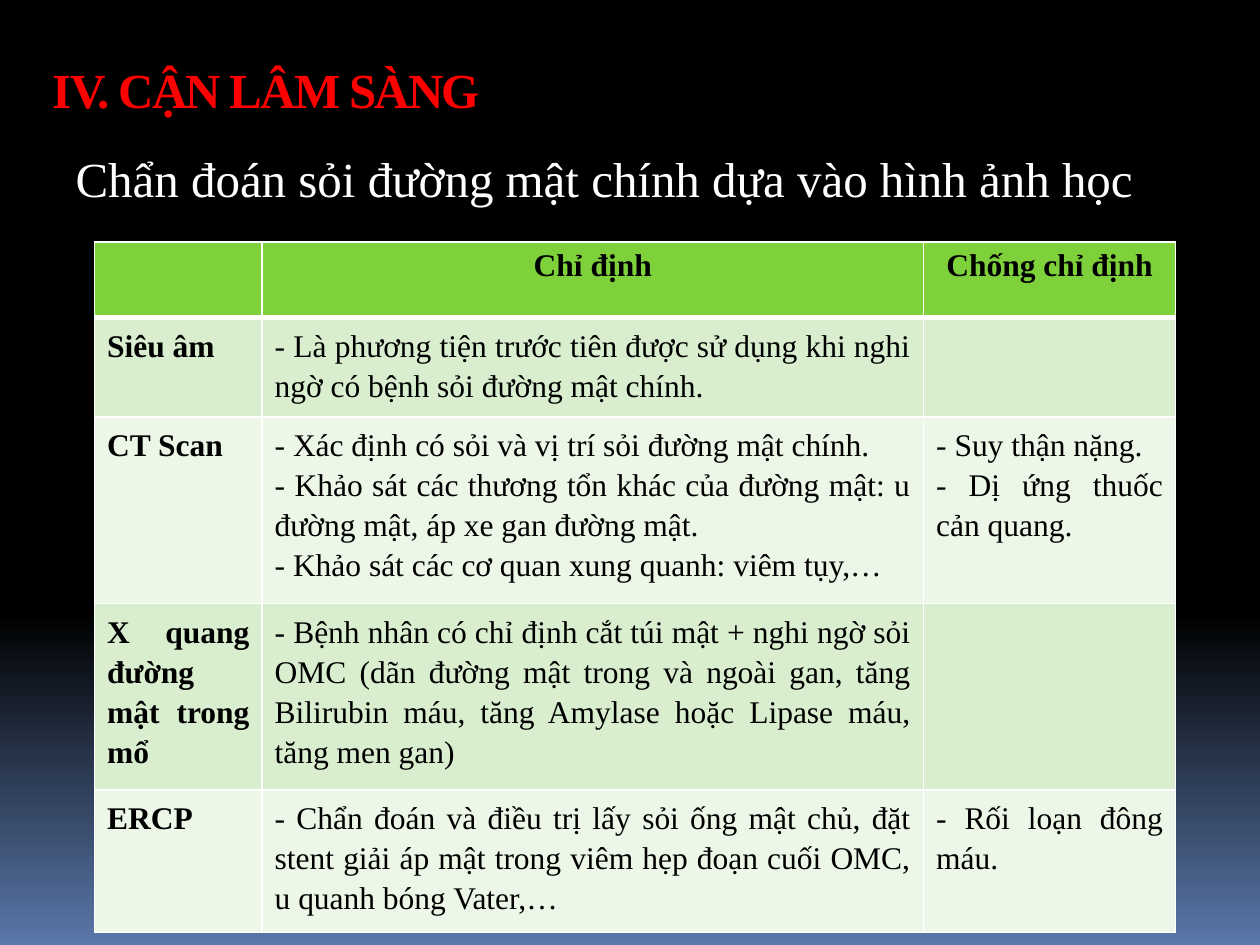
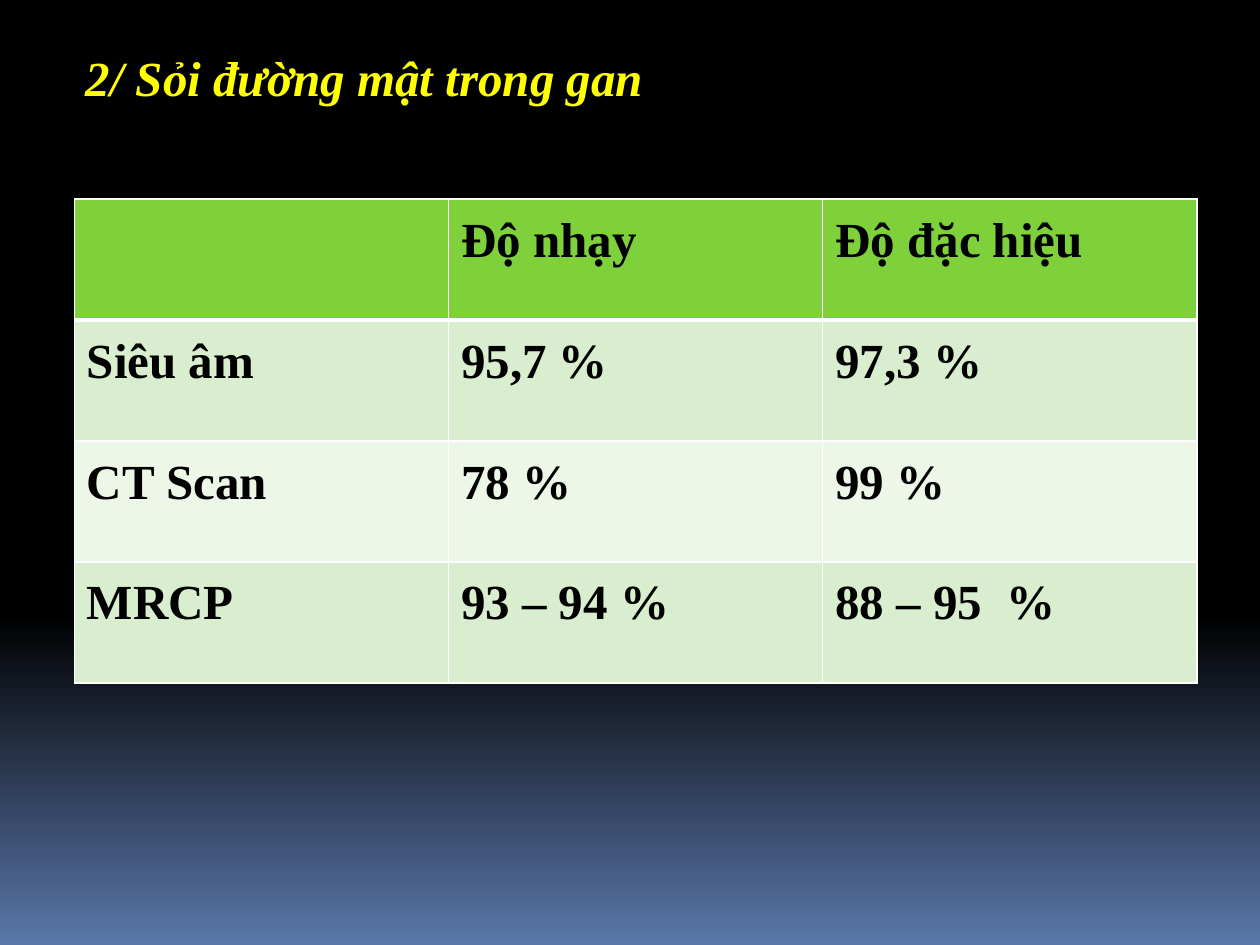
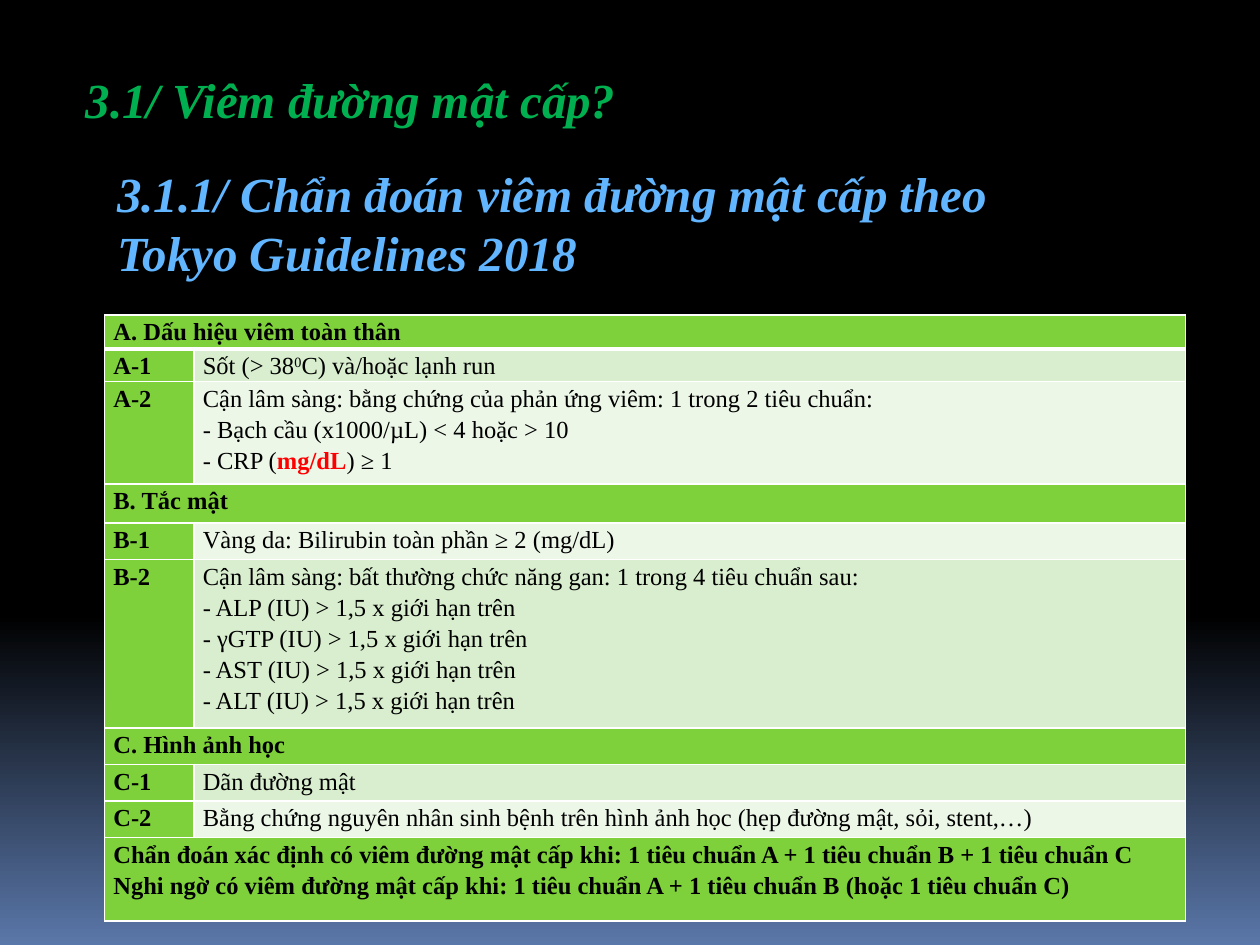
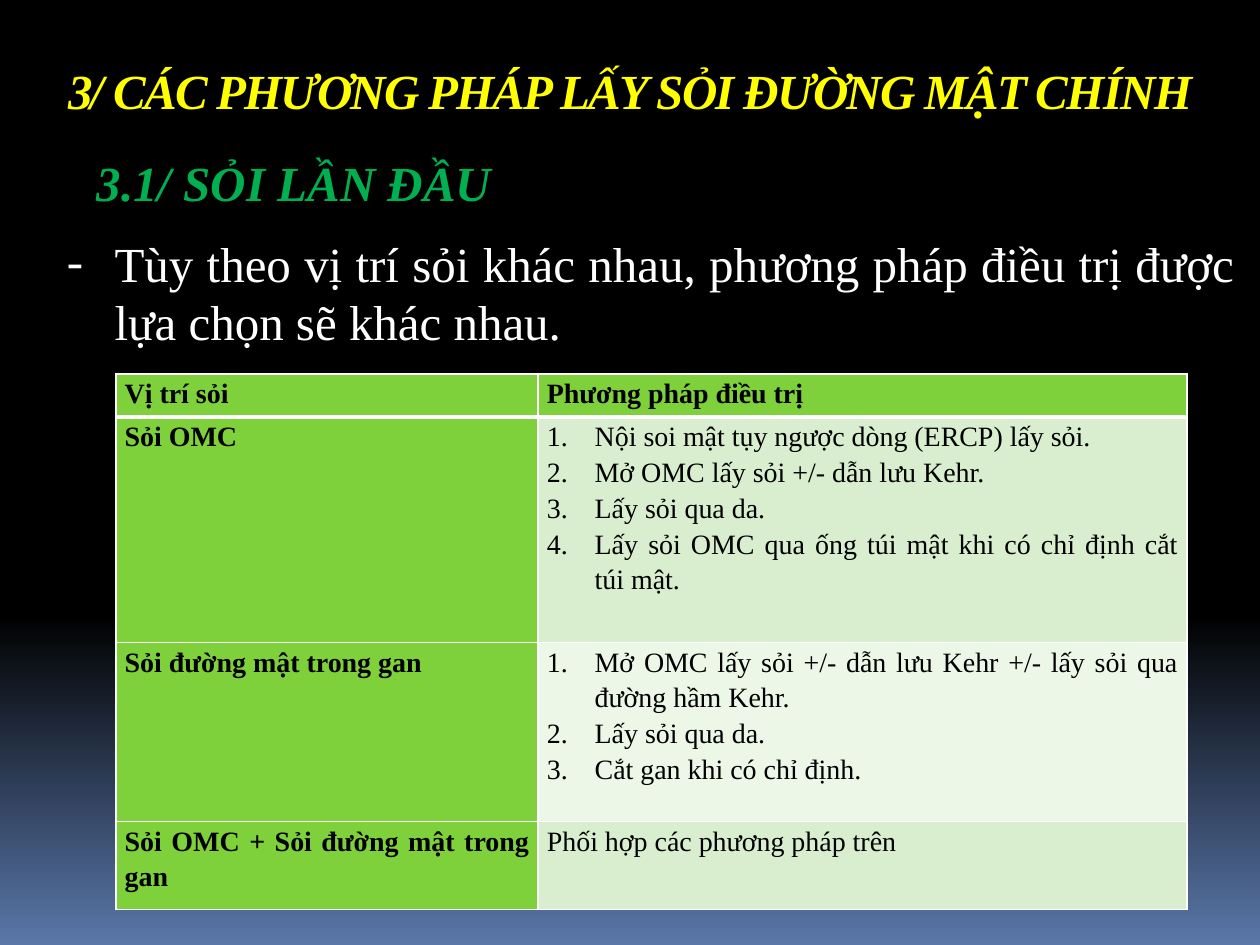
from copy import deepcopy
from lxml.etree import SubElement
from pptx import Presentation
from pptx.dml.color import RGBColor
from pptx.enum.text import MSO_ANCHOR, MSO_AUTO_SIZE, PP_ALIGN
from pptx.oxml.ns import qn
from pptx.util import Inches, Pt

FONT = "Times New Roman"
HUES = {
    "black": "000000", "white": "FFFFFF", "dusk": "5A77A9",
    "red": "FF0000", "yellow": "FFFF00", "green": "00B050", "blue": "61B6FF",
    "head": "7FD13B", "odd": "D8EECE", "even": "ECF7E8",
}
HANG = 0.38
LABEL = dict(bold=True, italic=True)

SLIDES = [
    dict(
        title=("IV. CẬN LÂM SÀNG", (0.32, 0.42, 9.73, 1), dict(hue="red", bold=True, track=-1)),
        body=("Chẩn đoán sỏi đường mật chính dựa vào hình ảnh học", (0.5, 1.13, 8.83, 0.57), {}),
        table=dict(
            at=(0.75, 1.92), size=18, mid=True,
            cols=(1.33, 5.25, 2), rows=(0.6, 0.79, 1.48, 1.48, 1.13),
            cells=[
                ("", "Chỉ định", "Chống chỉ định"),
                ("Siêu âm", "- Là phương tiện trước tiên được sử dụng khi nghi ngờ có bệnh sỏi đường mật chính.", ""),
                ("CT Scan",
                 ["- Xác định có sỏi và vị trí sỏi đường mật chính.",
                  "- Khảo sát các thương tổn khác của đường mật: u đường mật, áp xe gan đường mật.",
                  "- Khảo sát các cơ quan xung quanh: viêm tụy,…"],
                 ["- Suy thận nặng.", "- Dị ứng thuốc cản quang."]),
                ("X quang đường mật trong mổ",
                 "- Bệnh nhân có chỉ định cắt túi mật + nghi ngờ sỏi OMC (dãn đường mật trong và ngoài gan, "
                 "tăng Bilirubin máu, tăng Amylase hoặc Lipase máu, tăng men gan)", ""),
                ("ERCP",
                 "- Chẩn đoán và điều trị lấy sỏi ống mật chủ, đặt stent giải áp mật trong viêm hẹp đoạn cuối OMC, "
                 "u quanh bóng Vater,…", "- Rối loạn đông máu."),
            ]),
    ),
    dict(
        title=("2/ Sỏi đường mật trong gan", (0.58, 0.33, 7.25, 0.57), dict(hue="yellow", **LABEL)),
        table=dict(
            at=(0.59, 1.58), size=28, strong=True, cols=(2.97,) * 3, rows=(0.96,) * 4,
            cells=[
                ("", "Độ nhạy", "Độ đặc hiệu"),
                ("Siêu âm", "95,7 %", "97,3 %"),
                ("CT Scan", "78 %", "99 %"),
                ("MRCP", "93 – 94 %", "88 – 95  %"),
            ]),
    ),
    dict(
        title=("3.1/ Viêm đường mật cấp?", (0.58, 0.5, 8.08, 1.04), dict(hue="green", **LABEL)),
        body=("3.1.1/ Chẩn đoán viêm đường mật cấp theo Tokyo Guidelines 2018",
              (0.83, 1.25, 7.83, 1.04), dict(hue="blue", **LABEL)),
        table=dict(
            at=(0.83, 2.5), size=14, tight=True, cols=(0.71, 7.87),
            rows=(0.27, 0.26, 0.81, 0.31, 0.29, 1.34, 0.29, 0.29, 0.29, 0.66),
            cells=[
                ("A. Dấu hiệu viêm toàn thân",),
                ("A-1", [("Sốt (> 38", ("0", dict(lift=30)), "C) và/hoặc lạnh run")]),
                ("A-2",
                 ["Cận lâm sàng: bằng chứng của phản ứng viêm: 1 trong 2 tiêu chuẩn:",
                  "- Bạch cầu (x1000/µL) < 4 hoặc > 10",
                  ("- CRP (", ("mg/dL", dict(hue="red", bold=True)), ") ≥ 1")]),
                ("B. Tắc mật",),
                ("B-1", "Vàng da: Bilirubin toàn phần ≥ 2 (mg/dL)"),
                ("B-2",
                 ["Cận lâm sàng: bất thường chức năng gan: 1 trong 4 tiêu chuẩn sau:"]
                 + [f"- {test} (IU) > 1,5 x giới hạn trên" for test in ("ALP", "γGTP", "AST", "ALT")]),
                ("C. Hình ảnh học",),
                ("C-1", "Dãn đường mật"),
                ("C-2", "Bằng chứng nguyên nhân sinh bệnh trên hình ảnh học (hẹp đường mật, sỏi, stent,…)"),
                (["Chẩn đoán xác định có viêm đường mật cấp khi: 1 tiêu chuẩn A + 1 tiêu chuẩn B + 1 tiêu chuẩn C",
                  "Nghi ngờ có viêm đường mật cấp khi: 1 tiêu chuẩn A + 1 tiêu chuẩn B (hoặc 1 tiêu chuẩn C)"],),
            ]),
    ),
    dict(
        title=("3/ CÁC PHƯƠNG PHÁP LẤY SỎI ĐƯỜNG MẬT CHÍNH", (0.44, 0.43, 9.47, 1),
               dict(hue="yellow", track=-1, **LABEL)),
        body=("Tùy theo vị trí sỏi khác nhau, phương pháp điều trị được lựa chọn sẽ khác nhau.",
              (0.43, 1.8, 9.47, 1.04), dict(align=PP_ALIGN.JUSTIFY, mark="-")),
        label=("3.1/ SỎI LẦN ĐẦU", (0.67, 1.16, 4.25, 0.57), dict(hue="green", **LABEL)),
        table=dict(
            at=(0.92, 2.97), size=16, tight=True, cols=(3.35, 5.15), rows=(0.34, 1.79, 1.42, 0.7),
            cells=[
                ("Vị trí sỏi", "Phương pháp điều trị"),
                ("Sỏi OMC",
                 ["Nội soi mật tụy ngược dòng (ERCP) lấy sỏi.",
                  "Mở OMC lấy sỏi +/- dẫn lưu Kehr.",
                  "Lấy sỏi qua da.",
                  "Lấy sỏi OMC qua ống túi mật khi có chỉ định cắt túi mật."], "1."),
                ("Sỏi đường mật trong gan",
                 ["Mở OMC lấy sỏi +/- dẫn lưu Kehr +/- lấy sỏi qua đường hầm Kehr.",
                  "Lấy sỏi qua da.",
                  "Cắt gan khi có chỉ định."], "1."),
                ("Sỏi OMC + Sỏi đường mật trong gan", "Phối hợp các phương pháp trên"),
            ]),
    ),
]


def tint(name):
    return RGBColor.from_string(HUES[name])


def write(frame, text, size=28, hue="white", bold=False, italic=False,
          align=PP_ALIGN.LEFT, space=None, track=0, mark=None):
    for n, line in enumerate(text if isinstance(text, list) else [text]):
        para = frame.paragraphs[0] if n == 0 else frame.add_paragraph()
        para.alignment, para.line_spacing, para.space_before = align, space, Pt(0)
        props = para._p.get_or_add_pPr()
        hang = Inches(HANG) if mark else 0
        props.set("marL", str(hang))
        props.set("indent", str(-hang))
        if mark == "1.":
            SubElement(props, qn("a:buFont"), typeface="+mj-lt")
            SubElement(props, qn("a:buAutoNum"), type="arabicPeriod")
        elif mark:
            SubElement(props, qn("a:buFont"), typeface=FONT)
            SubElement(props, qn("a:buChar"), char=mark)
        else:
            SubElement(props, qn("a:buNone"))
        for part in line if isinstance(line, tuple) else (line,):
            words, extra = part if isinstance(part, tuple) else (part, {})
            run = para.add_run()
            run.text = words
            font = run.font
            font.name, font.size, font.italic = FONT, Pt(size), italic
            font.bold = extra.get("bold", bold)
            font.color.rgb = tint(extra.get("hue", hue))
            if track:
                run._r.get_or_add_rPr().set("spc", str(track * 100))
            if "lift" in extra:
                run._r.get_or_add_rPr().set("baseline", str(extra["lift"] * 1000))


def place(shape, text, box, style):
    shape.left, shape.top, shape.width, shape.height = map(Inches, box)
    frame = shape.text_frame
    frame.word_wrap = True
    frame.auto_size = MSO_AUTO_SIZE.NONE
    frame.vertical_anchor = MSO_ANCHOR.TOP
    write(frame, text, **style)


def edge(cell, row):
    props = cell._tc.get_or_add_tcPr()
    for side in "LRTB":
        thick = (row, side) in ((0, "B"), (1, "T"))
        line = SubElement(props, qn(f"a:ln{side}"), w=str(Pt(3 if thick else 1)))
        fill = SubElement(line, qn("a:solidFill"))
        SubElement(fill, qn("a:srgbClr"), val=HUES["white"])


def grid(slide, at, size, cols, rows, cells, tight=False, strong=False, mid=False):
    box = map(Inches, (*at, sum(cols), sum(rows)))
    table = slide.shapes.add_table(len(rows), len(cols), *box).table
    for col, width in zip(table.columns, cols):
        col.width = Inches(width)
    for r, (high, data) in enumerate(zip(rows, cells)):
        table.rows[r].height = Inches(high)
        wide = len(data) == 1
        mark = data[len(cols)] if len(data) > len(cols) else None
        for c in range(len(cols)):
            cell = table.cell(r, c)
            edge(cell, r)
            head = r == 0 or wide or (tight and c == 0)
            cell.fill.solid()
            cell.fill.fore_color.rgb = tint("head" if head else "odd" if r % 2 else "even")
            if tight:
                cell.margin_left = cell.margin_right = Inches(0.07)
                cell.margin_top = cell.margin_bottom = 0
            if c < len(data) and data[c]:
                top = mid and r == 0
                write(cell.text_frame, data[c], size=size, hue="black",
                      bold=strong or head or c == 0,
                      align=PP_ALIGN.CENTER if top else PP_ALIGN.JUSTIFY,
                      space=None if top else 1.15, mark=mark if c else None)
        if wide:
            table.cell(r, 0).merge(table.cell(r, len(cols) - 1))


def paint(master):
    fill = master.background.fill
    fill.gradient()
    fill.gradient_angle = 270
    for stop, name, spot in zip(fill.gradient_stops, ("black", "dusk"), (0, 1)):
        stop.color.rgb = tint(name)
        stop.position = spot
    first = master.element.find(".//" + qn("a:gsLst"))[0]
    extra = deepcopy(first)
    extra.set("pos", "65000")
    first.addnext(extra)


def main():
    prs = Presentation()
    prs.slide_width, prs.slide_height = Inches(10), Inches(7.5)
    paint(prs.slide_master)
    for page in SLIDES:
        slide = prs.slides.add_slide(prs.slide_layouts[1 if "body" in page else 5])
        place(slide.shapes.title, *page["title"])
        if "body" in page:
            place(slide.placeholders[1], *page["body"])
        if "label" in page:
            place(slide.shapes.add_textbox(0, 0, 0, 0), *page["label"])
        grid(slide, **page["table"])
    prs.save("out.pptx")


if __name__ == "__main__":
    main()
